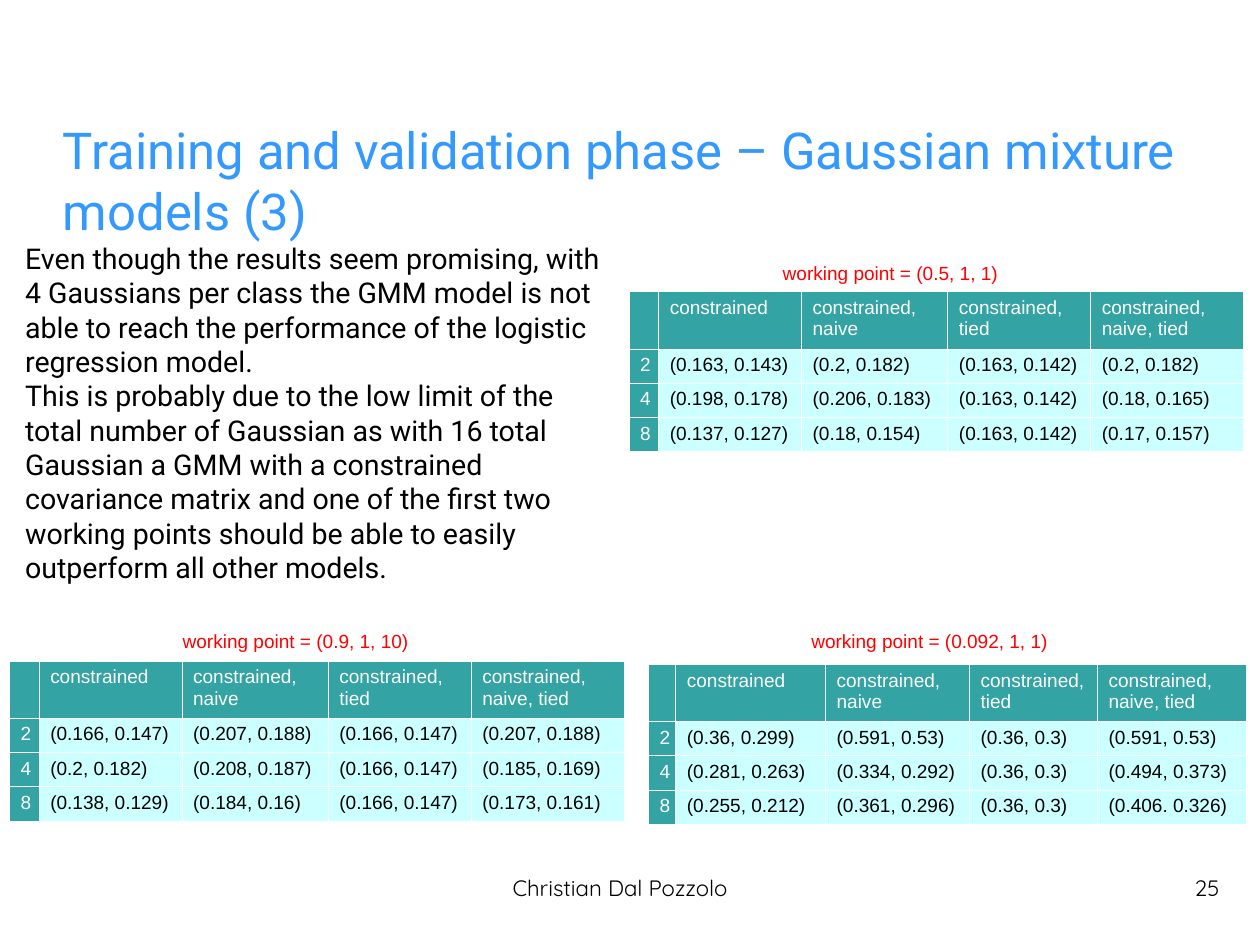
"""Slide with Gaussian mixture model results at three working points."""
from dataclasses import dataclass

from lxml.etree import SubElement
from pptx import Presentation
from pptx.dml.color import RGBColor
from pptx.enum.text import MSO_ANCHOR, PP_ALIGN
from pptx.oxml.ns import qn
from pptx.slide import Slide
from pptx.table import _Cell
from pptx.text.text import TextFrame
from pptx.util import Inches, Pt

CM_PER_INCH = 2.54
PAGE_WIDTH_CM, PAGE_HEIGHT_CM = 28, 21
TEAL, CYAN, WHITE, BLACK = "33A3A3", "CCFFFF", "FFFFFF", "000000"
RED, BLUE = "FF0000", "3399FF"
HEADER = ("", "constrained", "constrained, naive", "constrained, tied", "constrained, naive, tied")
HEADER_HEIGHT, ROW_HEIGHT = 0.5, 0.3
WIDE_COLUMNS = (0.26, 1.25, 1.28, 1.25, 1.34)
NARROW_COLUMNS = (0.24, 1.31, 1.26, 1.12, 1.3)


@dataclass(frozen=True)
class TextStyle:
    size: int
    font: str
    color: str
    align: PP_ALIGN = PP_ALIGN.LEFT


@dataclass(frozen=True)
class Label:
    box: tuple[float, float, float, float]
    paragraphs: tuple[str, ...]
    style: TextStyle
    inset: tuple[float, float] = (0, 0)


@dataclass(frozen=True)
class ResultTable:
    left: float
    top: float
    columns: tuple[float, ...]
    rows: tuple[tuple[str, ...], ...]


TITLE_STYLE = TextStyle(32, "Roboto", BLUE)
BODY_STYLE = TextStyle(18, "Roboto", BLACK)
CAPTION_STYLE = TextStyle(12, "Arial", RED)
AUTHOR_STYLE = TextStyle(14, "Quicksand", BLACK, PP_ALIGN.CENTER)
NUMBER_STYLE = TextStyle(14, "Quicksand", BLACK, PP_ALIGN.RIGHT)
CAPTION_INSET = (0.1, 0.05)

LABELS = (
    Label((0.22, 2.11, 5.17, 3.4), (
        "Even though the results seem promising, with 4 Gaussians per class the GMM model is "
        "not able to reach the performance of the logistic regression model.",
        "This is probably due to the low limit of the total number of Gaussian as with 16 total "
        "Gaussian a GMM with a constrained covariance matrix and one of the first two working "
        "points should be able to easily outperform all other models.",
    ), BODY_STYLE),
    Label((6.75, 2.24, 2.5, 0.29), ("working point = (0.5, 1, 1)",), CAPTION_STYLE, CAPTION_INSET),
    Label((1.5, 5.46, 2.25, 0.29), ("working point = (0.9, 1, 10)",), CAPTION_STYLE, CAPTION_INSET),
    Label((7, 5.46, 2.5, 0.29), ("working point = (0.092, 1, 1)",), CAPTION_STYLE, CAPTION_INSET),
    Label((4.32, 7.65, 2.21, 0.57), ("Christian Dal Pozzolo",), AUTHOR_STYLE),
    Label((8.7, 7.65, 1.97, 0.57), ("25",), NUMBER_STYLE),
)

TABLES = (
    ResultTable(5.5, 2.55, WIDE_COLUMNS, (
        ("2", "(0.163, 0.143)", "(0.2, 0.182)", "(0.163, 0.142)", "(0.2, 0.182)"),
        ("4", "(0.198, 0.178)", "(0.206, 0.183)", "(0.163, 0.142)", "(0.18, 0.165)"),
        ("8", "(0.137, 0.127)", "(0.18, 0.154)", "(0.163, 0.142)", "(0.17, 0.157)"),
    )),
    ResultTable(0.08, 5.78, WIDE_COLUMNS, (
        ("2", "(0.166, 0.147)", "(0.207, 0.188)", "(0.166, 0.147)", "(0.207, 0.188)"),
        ("4", "(0.2, 0.182)", "(0.208, 0.187)", "(0.166, 0.147)", "(0.185, 0.169)"),
        ("8", "(0.138, 0.129)", "(0.184, 0.16)", "(0.166, 0.147)", "(0.173, 0.161)"),
    )),
    ResultTable(5.67, 5.81, NARROW_COLUMNS, (
        ("2", "(0.36, 0.299)", "(0.591, 0.53)", "(0.36, 0.3)", "(0.591, 0.53)"),
        ("4", "(0.281, 0.263)", "(0.334, 0.292)", "(0.36, 0.3)", "(0.494, 0.373)"),
        ("8", "(0.255, 0.212)", "(0.361, 0.296)", "(0.36, 0.3)", "(0.406. 0.326)"),
    )),
)


def rgb(color: str) -> RGBColor:
    return RGBColor.from_string(color)


def write(tf: TextFrame, paragraphs: tuple[str, ...], style: TextStyle) -> None:
    for i, text in enumerate(paragraphs):
        p = tf.add_paragraph() if i else tf.paragraphs[0]
        p.alignment = style.align
        r = p.add_run()
        r.text = text
        r.font.size = Pt(style.size)
        r.font.name = style.font
        r.font.color.rgb = rgb(style.color)


def set_insets(tf: TextFrame, inset: tuple[float, float]) -> None:
    tf.word_wrap = True
    tf.margin_left = tf.margin_right = Inches(inset[0])
    tf.margin_top = tf.margin_bottom = Inches(inset[1])


def add_title(s: Slide, text: str) -> None:
    sp = s.shapes.title
    sp.left, sp.top, sp.width, sp.height = map(Inches, (0.55, 0.88, 9.92, 1.38))
    tf = sp.text_frame
    set_insets(tf, (0, 0))
    tf.vertical_anchor = MSO_ANCHOR.MIDDLE
    write(tf, (text,), TITLE_STYLE)


def add_label(s: Slide, label: Label) -> None:
    tf = s.shapes.add_textbox(*map(Inches, label.box)).text_frame
    set_insets(tf, label.inset)
    write(tf, label.paragraphs, label.style)


def add_borders(cell: _Cell) -> None:
    properties = cell._tc.get_or_add_tcPr()
    for side in ("a:lnL", "a:lnR", "a:lnT", "a:lnB"):
        line = SubElement(properties, qn(side), w=str(Pt(0.06)))
        fill = SubElement(line, qn("a:solidFill"))
        SubElement(fill, qn("a:srgbClr"), val=WHITE)


def add_results(s: Slide, results: ResultTable) -> None:
    rows = (HEADER, *results.rows)
    heights = (HEADER_HEIGHT, *[ROW_HEIGHT] * len(results.rows))
    box = (results.left, results.top, sum(results.columns), sum(heights))
    table = s.shapes.add_table(len(rows), len(HEADER), *map(Inches, box)).table
    table.first_row = table.horz_banding = False
    for column, width in zip(table.columns, results.columns):
        column.width = Inches(width)
    for i, (values, height) in enumerate(zip(rows, heights)):
        table.rows[i].height = Inches(height)
        for j, value in enumerate(values):
            is_heading = i == 0 or j == 0
            cell = table.cell(i, j)
            add_borders(cell)
            cell.fill.solid()
            cell.fill.fore_color.rgb = rgb(TEAL if is_heading else CYAN)
            if value:
                style = TextStyle(12, "Arial", WHITE if is_heading else BLACK)
                write(cell.text_frame, (value,), style)


def main() -> None:
    prs = Presentation()
    prs.slide_width = round(Inches(PAGE_WIDTH_CM) / CM_PER_INCH)
    prs.slide_height = round(Inches(PAGE_HEIGHT_CM) / CM_PER_INCH)
    s = prs.slides.add_slide(prs.slide_layouts[5])
    add_title(s, "Training and validation phase – Gaussian mixture models (3)")
    for results in TABLES:
        add_results(s, results)
    for label in LABELS:
        add_label(s, label)
    prs.save("out.pptx")


if __name__ == "__main__":
    main()
